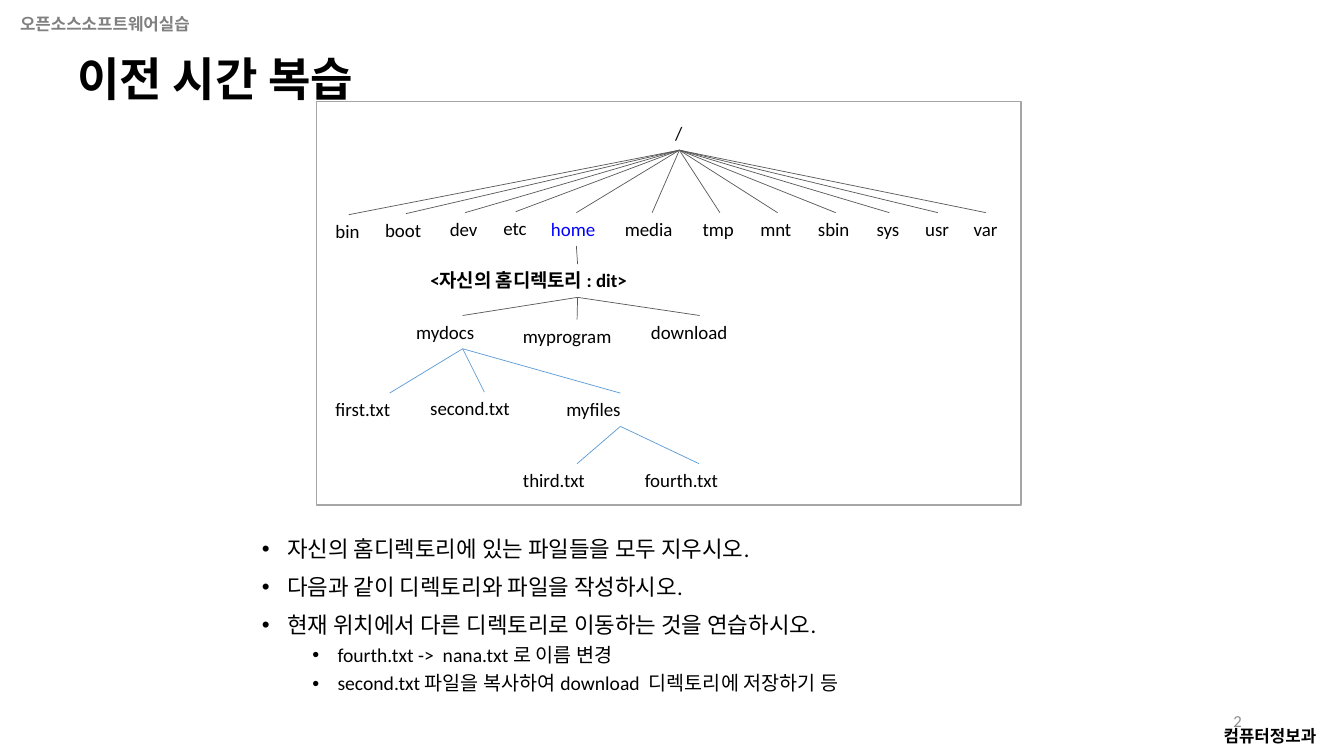
from lxml import etree
from pptx import Presentation
from pptx import util as u
from pptx.dml.color import RGBColor
from pptx.enum import shapes, text
from pptx.oxml.ns import qn

CELL = u.Inches(0.1)
COLUMNS, ROWS = 133.33, 75
FONT = "Calibri"
COLORS = {"ink": "000000", "home": "0000FF", "header": "808080", "number": "8C8C8C",
          "branch": "595959", "file_branch": "5B9BD5", "frame": "A6A6A6"}
NODE_SIZE, NODE_HEIGHT = 13.5, 3.3
TOP_LEFT, TOP_GAP = 32.3, 0.32
TOP_FOLDERS = [("bin", 4.6, 21.3), ("boot", 6.1, 21.2), ("dev", 5, 21.1), ("etc", 4.4, 21),
               ("home", 7, 21.1), ("media", 7.4, 21.1), ("tmp", 5.4, 21.1), ("mnt", 5.4, 21.1),
               ("sbin", 5.5, 21.1), ("sys", 4.5, 21.1), ("usr", 4.5, 21.1), ("var", 4.4, 21.1)]
HOME_FOLDER = "<자신의 홈디렉토리 : dit>"
HOME_TREE = [("mydocs", HOME_FOLDER, 40.3, 31.3, 11.2, "branch"),
             ("myprogram", HOME_FOLDER, 50.9, 31.7, 12.7, "branch"),
             ("download", HOME_FOLDER, 63.6, 31.3, 11.6, "branch"),
             ("first.txt", "mydocs", 32.3, 39, 12.7, "file_branch"),
             ("second.txt", "mydocs", 41.7, 38.9, 12.7, "file_branch"),
             ("myfiles", "mydocs", 55.2, 39, 12.7, "file_branch"),
             ("third.txt", "myfiles", 50.9, 46, 12.7, "file_branch"),
             ("fourth.txt", "myfiles", 63, 46, 12.7, "file_branch")]
TASKS = [("자신의 홈디렉토리에 있는 파일들을 모두 지우시오.", 0),
         ("다음과 같이 디렉토리와 파일을 작성하시오.", 0),
         ("현재 위치에서 다른 디렉토리로 이동하는 것을 연습하시오.", 0),
         ("fourth.txt ->  nana.txt 로 이름 변경", 1),
         ("second.txt 파일을 복사하여 download  디렉토리에 저장하기 등", 1)]


def cells(*counts):
    """Turn grid counts into slide lengths."""
    return [round(count * CELL) for count in counts]


def rgb(name):
    """Look up a named colour."""
    return RGBColor.from_string(COLORS[name])


def write(para, words, size=NODE_SIZE, color="ink", bold=False, align=None, line=None):
    """Write formatted words into a paragraph."""
    span = para.add_run()
    span.text = words
    span.font.name, span.font.size, span.font.bold = FONT, u.Pt(size), bold
    span.font.color.rgb = rgb(color)
    para.alignment = align
    para.line_spacing = line


def add_box(page, place, wrap=True, grow=False, anchor=text.MSO_ANCHOR.TOP):
    """Add an empty text box at a grid place."""
    box = page.shapes.add_textbox(*cells(*place))
    frame = box.text_frame
    frame.word_wrap, frame.vertical_anchor = wrap, anchor
    frame.auto_size = text.MSO_AUTO_SIZE.SHAPE_TO_FIT_TEXT if grow else text.MSO_AUTO_SIZE.NONE
    return box


def add_label(page, words, place, wrap=True, grow=True, anchor=text.MSO_ANCHOR.TOP, **style):
    """Add a text box that holds one line."""
    box = add_box(page, place, wrap, grow, anchor)
    write(box.text_frame.paragraphs[0], words, **style)
    return box


def add_branch(page, child, parent, color):
    """Join the top of a child to the bottom of its parent."""
    branch = page.shapes.add_connector(shapes.MSO_CONNECTOR.STRAIGHT, 0, 0, 0, 0)
    branch.begin_connect(child, 0)
    branch.end_connect(parent, 2)
    branch.line.color.rgb, branch.line.width = rgb(color), u.Pt(0.5)
    etree.SubElement(branch.element.spPr, qn("a:effectLst"))


def add_node(page, nodes, name, parent, left, top, width, branch="branch", **style):
    """Add a directory or file under its parent."""
    nodes[name] = add_label(page, name, (left, top, width, NODE_HEIGHT), **style)
    add_branch(page, nodes[name], nodes[parent], branch)


def add_tree(page):
    """Draw the directory tree inside its frame."""
    nodes = {"/": add_label(page, "/", (66, 11.6, 2.8, NODE_HEIGHT), wrap=False)}
    left = TOP_LEFT
    for name, width, top in TOP_FOLDERS:
        color = "home" if name == "home" else "ink"
        add_node(page, nodes, name, "/", left, top, width, color=color)
        left += width + TOP_GAP
    add_node(page, nodes, HOME_FOLDER, "home", 41.7, 26.2, 31.2, bold=True)
    for entry in HOME_TREE:
        add_node(page, nodes, *entry)
    frame = page.shapes.add_shape(shapes.MSO_SHAPE.RECTANGLE, *cells(31.4, 10.1, 69.9, 40))
    frame.shadow.inherit = False
    frame.fill.background()
    frame.line.color.rgb, frame.line.width = rgb("frame"), u.Pt(1)


def add_tasks(page):
    """Add the bulleted task list."""
    frame = add_box(page, (25, 52.9, 95.8, 20.4)).text_frame
    for index, (words, level) in enumerate(TASKS):
        para = frame.add_paragraph() if index else frame.paragraphs[0]
        para.level = level
        write(para, words, size=14 if level else 16, line=0.9)
        para.space_before = u.Pt(5 if level else 10)
        layout = para._p.get_or_add_pPr()
        layout.set("marL", str(u.Inches(0.25 + 0.5 * level)))
        layout.set("indent", str(u.Inches(-0.25)))
        etree.SubElement(layout, qn("a:buFont"), typeface="Arial")
        etree.SubElement(layout, qn("a:buChar"), char="•")


def main():
    """Build and save the slide."""
    deck = Presentation()
    deck.slide_width, deck.slide_height = cells(COLUMNS, ROWS)
    page = deck.slides.add_slide(deck.slide_layouts[6])
    add_label(page, "컴퓨터정보과", (120.4, 71.5, 12.1, 3), wrap=False, size=12, bold=True)
    add_label(page, "오픈소스소프트웨어실습", (1, 0.9, 20.5, 3), wrap=False, size=12,
              color="header", bold=True)
    add_label(page, "2", (94.2, 69.5, 30, 4), grow=False, anchor=text.MSO_ANCHOR.MIDDLE,
              size=12, color="number", align=text.PP_ALIGN.RIGHT)
    add_label(page, "이전 시간 복습", (6.7, 5.1, 97, 6.1), grow=False, size=33, bold=True, line=0.9)
    add_tasks(page)
    add_tree(page)
    deck.save("out.pptx")


if __name__ == "__main__":
    main()
